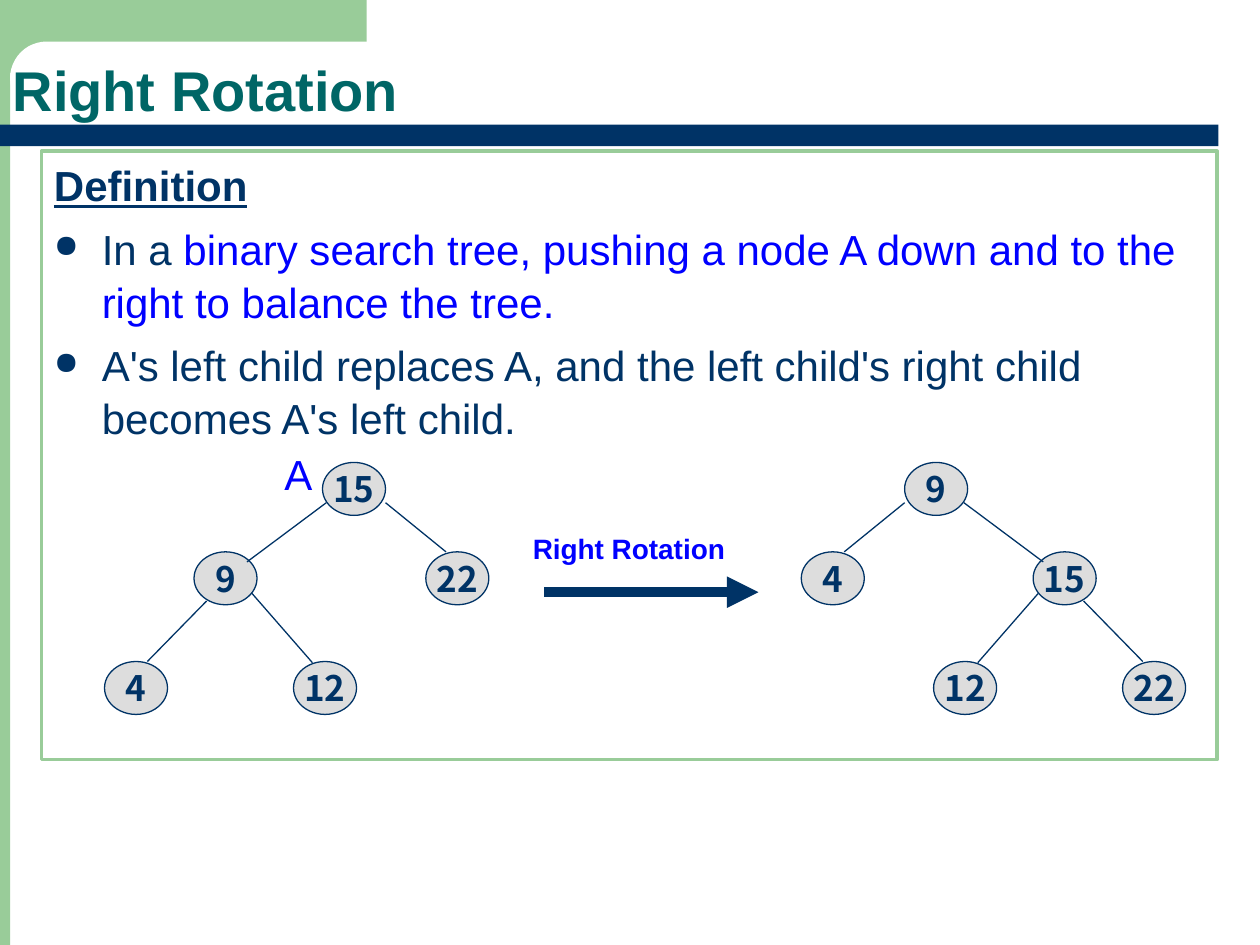
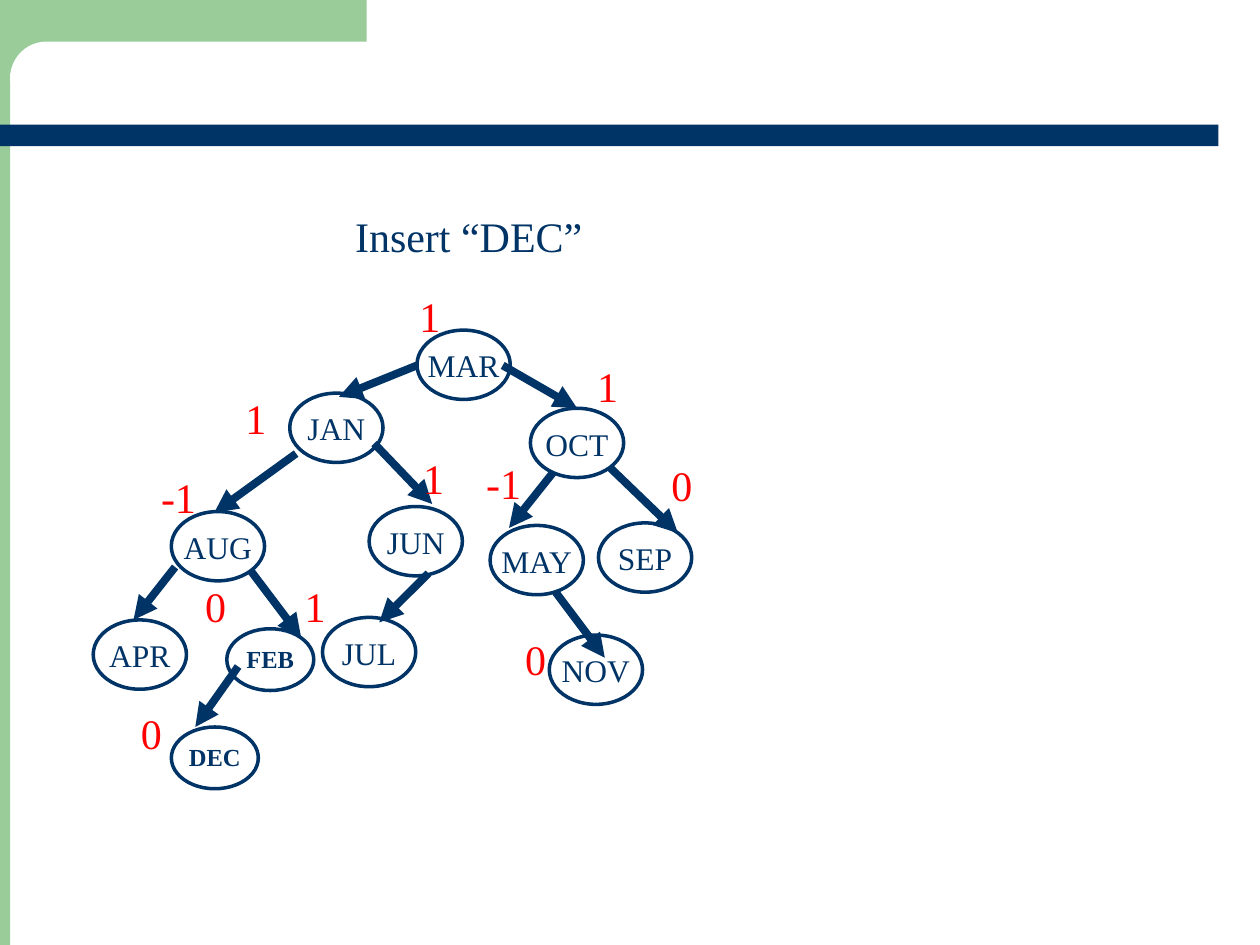
"""Build two slides on tree rotation and balanced insertion."""
from lxml import etree
from pptx import Presentation
from pptx import util as u
from pptx.dml.color import RGBColor
from pptx.enum import shapes, text
from pptx.oxml.ns import qn

PX = 9144
NAVY, GREEN, TEAL, BLUE, RED = "003366", "99CC99", "006666", "0000FF", "FF0000"
WHITE, GREY = "FFFFFF", "DDDDDD"
SANS, SERIF, DIGIT = "Arial", "Times New Roman", "Noto Sans CJK KR"
KIND = shapes.MSO_SHAPE
hue = RGBColor.from_string


def put(page, kind, box, words="", size=24, tint=NAVY, face=SERIF, bold=False,
        fill=None, edge=None, width=2):
    box = [n * PX for n in box]
    if kind is None:
        item = page.shapes.add_textbox(*box)
    else:
        item = page.shapes.add_shape(kind, *box)
        item.shadow.inherit = False
        if fill:
            item.fill.solid()
            item.fill.fore_color.rgb = hue(fill)
        else:
            item.fill.background()
        if edge:
            item.line.color.rgb = hue(edge)
            item.line.width = u.Pt(width)
        else:
            item.line.fill.background()
    if words:
        frame = item.text_frame
        frame.word_wrap = kind is None
        para = frame.paragraphs[0]
        para.text = words
        para.alignment = text.PP_ALIGN.LEFT if kind is None else text.PP_ALIGN.CENTER
        font = para.font
        font.size, font.name, font.bold = u.Pt(size), face, bold
        font.color.rgb = hue(tint)
    return item


def link(page, ends, width, head=True):
    line = page.shapes.add_connector(shapes.MSO_CONNECTOR.STRAIGHT, *[n * PX for n in ends])
    line.line.color.rgb = hue(NAVY)
    line.line.width = u.Pt(width)
    if head:
        etree.SubElement(line.line._get_or_add_ln(), qn("a:tailEnd"), type="triangle")
    etree.SubElement(line.element.spPr, qn("a:effectLst"))


deck = Presentation()
deck.slide_width, deck.slide_height = 1000 * PX, 750 * PX
turn = deck.slides.add_slide(deck.slide_layouts[5])
grow = deck.slides.add_slide(deck.slide_layouts[6])

bands = [
    (KIND.RECTANGLE, (0, 0, 8, 750), GREEN),
    (KIND.RECTANGLE, (0, 0, 291, 58), GREEN),
    (KIND.ROUNDED_RECTANGLE, (8, 33, 558, 58), WHITE),
    (KIND.RECTANGLE, (0, 99, 967, 17), NAVY),
]
for rank, (kind, box, fill) in enumerate(bands):
    band = put(turn, kind, box, fill=fill)
    if kind == KIND.ROUNDED_RECTANGLE:
        band.adjustments[0] = 0.5
    band.element.nvSpPr.cNvPr.set("id", str(100 + rank))
    deck.slide_master.shapes.element.append(band.element)

title = turn.shapes.title
title.left, title.top, title.width, title.height = 0, 36 * PX, 875 * PX, 67 * PX
frame = title.text_frame
frame.text = "Right Rotation"
frame.auto_size = text.MSO_AUTO_SIZE.NONE
frame.vertical_anchor = text.MSO_ANCHOR.BOTTOM
para = frame.paragraphs[0]
para.alignment = text.PP_ALIGN.LEFT
para.line_spacing = 0.9
para.font.size, para.font.name, para.font.bold = u.Pt(32), SANS, True
para.font.color.rgb = hue(TEAL)

body = put(turn, KIND.RECTANGLE, (33, 120, 933, 483), edge=GREEN)
frame = body.text_frame
frame.word_wrap = True
frame.vertical_anchor = text.MSO_ANCHOR.TOP
points = [
    [("Definition", NAVY)],
    [("In a ", NAVY),
     ("binary search tree, pushing a node A down and to the right to balance the tree.", BLUE)],
    [("A's left child replaces A, and the left child's right child becomes A's left child.", NAVY)],
]
for rank, runs in enumerate(points):
    para = frame.add_paragraph() if rank else frame.paragraphs[0]
    para.alignment = text.PP_ALIGN.LEFT
    para.space_before = u.Pt(6)
    para.line_spacing = 1.05
    para.font.size, para.font.name = u.Pt(24), SANS
    para.font.bold = para.font.underline = rank == 0
    for words, tint in runs:
        run = para.add_run()
        run.text = words
        run.font.color.rgb = hue(tint)
    if rank:
        props = para._p.get_or_add_pPr()
        props.set("marL", str(38 * PX))
        props.set("indent", str(-38 * PX))
        mark = etree.Element(qn("a:buClr"))
        etree.SubElement(mark, qn("a:srgbClr"), val=NAVY)
        scale = etree.Element(qn("a:buSzPct"), val="75000")
        sign = etree.Element(qn("a:buChar"), char="●")
        spot = list(props).index(props.find(qn("a:spcBef"))) + 1
        props[spot:spot] = [mark, scale, sign]

spots = [(718, 367), (636, 438), (820, 438), (741, 525), (891, 525)]
edges = [(718, 399, 670, 438), (765, 399, 828, 446),
         (824, 471, 776, 526), (860, 477, 907, 525)]
SPAN = 1024
trees = [(False, ["9", "4", "15", "12", "22"]), (True, ["15", "22", "9", "12", "4"])]
for flip, keys in trees:
    for key, (x, y) in zip(keys, spots):
        left = SPAN - 50 - x if flip else x
        node = put(turn, KIND.OVAL, (left, y, 50, 42), key, 20, face=DIGIT, bold=True,
                   fill=GREY, edge=NAVY, width=0.75)
        node.text_frame.vertical_anchor = text.MSO_ANCHOR.MIDDLE
    for x, y, x2, y2 in edges:
        if flip:
            x, x2 = SPAN - x, SPAN - x2
        link(turn, (x, y, x2, y2), 0.75, False)
link(turn, (432, 470, 602, 470), 6)
put(turn, None, (413, 417, 189, 37), "Right Rotation", 16, BLUE, SANS, True)
put(turn, None, (216, 351, 47, 50), "A", 24, BLUE, SANS)

put(grow, None, (272, 162, 210, 50), "Insert “DEC”")
months = [
    ("MAR", 331, 262), ("JAN", 230, 312), ("OCT", 421, 324),
    ("AUG", 136, 406), ("JUN", 293, 402), ("MAY", 389, 417), ("SEP", 475, 415),
    ("APR", 74, 492), ("JUL", 256, 490), ("NOV", 436, 504),
    ("FEB", 180, 499), ("DEC", 136, 577),
]
for name, x, y in months:
    small = name in ("FEB", "DEC")
    wide, high, size = (69, 49, 14) if small else (74, 55, 18)
    node = put(grow, KIND.OVAL, (x, y, wide, high), name, size, bold=small,
               fill=WHITE, edge=NAVY)
    node.text_frame.vertical_anchor = text.MSO_ANCHOR.TOP

arrows = [
    (331, 290, 269, 315), (399, 290, 458, 324), (297, 352, 343, 400),
    (235, 360, 170, 407), (340, 455, 301, 494), (199, 453, 239, 506),
    (484, 371, 538, 423), (139, 450, 106, 492), (439, 375, 404, 419),
    (441, 470, 480, 522), (189, 529, 155, 577),
]
for ends in arrows:
    link(grow, ends, 4.5)

marks = [
    ("1", 323, 226), ("1", 464, 281), ("1", 185, 307), ("-1", 118, 369),
    ("1", 326, 354), ("-1", 376, 358), ("0", 523, 360), ("0", 153, 456),
    ("1", 232, 456), ("0", 407, 498), ("0", 102, 557),
]
for sign, x, y in marks:
    put(grow, None, (x, y, 50, 50), sign, tint=RED)

deck.save("out.pptx")
